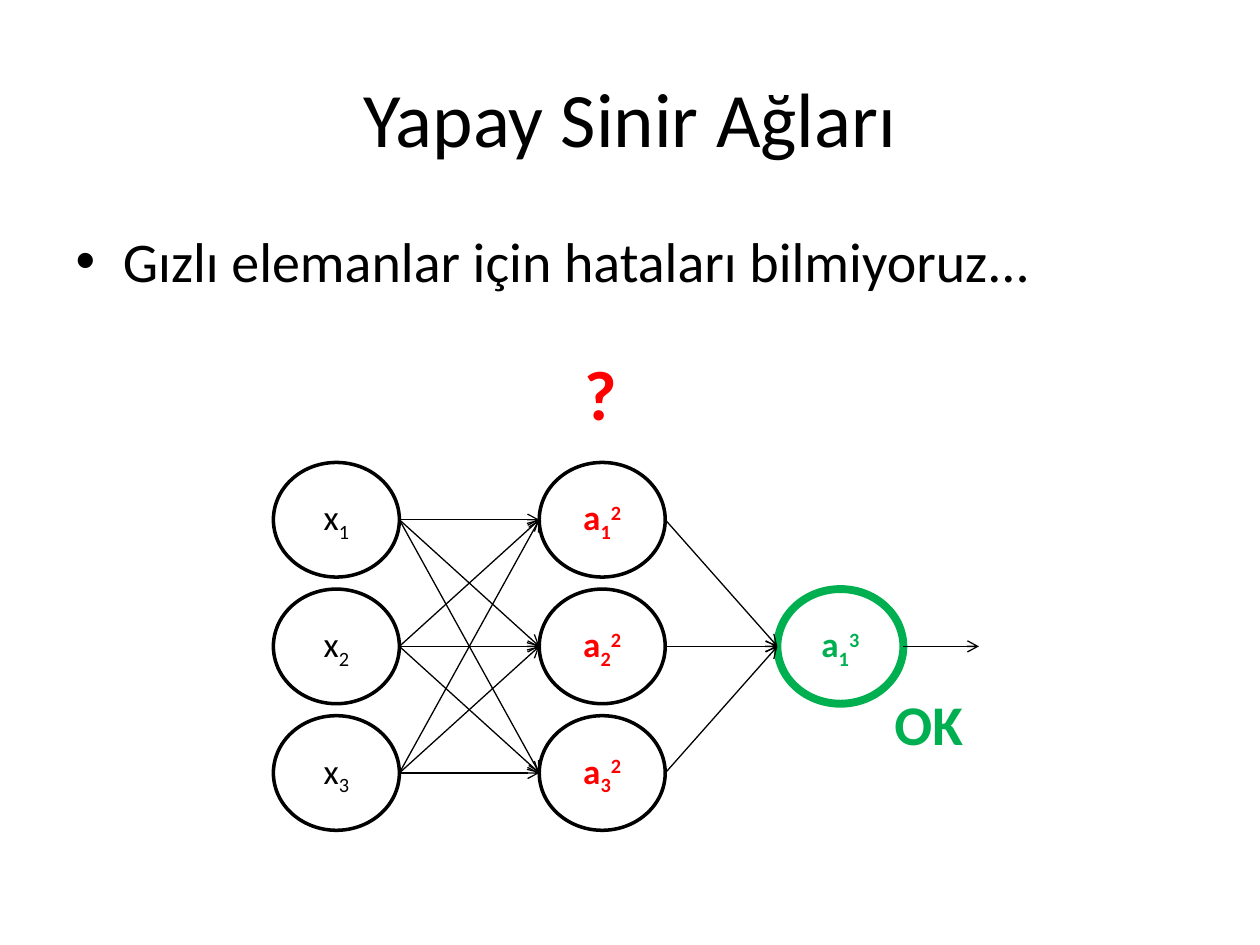
from dataclasses import dataclass
from itertools import product
from typing import Optional

from lxml.etree import SubElement
from pptx import Presentation
from pptx.dml.color import RGBColor
from pptx.enum.shapes import MSO_CONNECTOR, MSO_SHAPE
from pptx.enum.text import MSO_ANCHOR, MSO_AUTO_SIZE, PP_ALIGN
from pptx.oxml.ns import qn
from pptx.shapes.group import GroupShape
from pptx.slide import Slide
from pptx.text.text import _Paragraph as Paragraph
from pptx.util import Inches, Pt


@dataclass(frozen=True)
class Theme:
    font: str = "Calibri"
    black: str = "000000"
    white: str = "FFFFFF"
    red: str = "FF0000"
    green: str = "00B050"
    title: float = 44
    body: float = 32
    question: float = 40
    neuron: float = 20
    outline: float = 2
    bold_outline: float = 4.5
    arrow: float = 0.75


THEME = Theme()
WIDTH, HEIGHT = 1, 0.91
FIRST_TOP, LAST_TOP = 3.67, 5.68
PITCH = (LAST_TOP - FIRST_TOP) / 2
INPUT_LEFT, HIDDEN_LEFT, OUTPUT_LEFT = 2.17, 4.28, 6.17
OUTPUT_LENGTH = 0.6


@dataclass(frozen=True)
class Neuron:
    left: float
    row: int
    letter: str
    layer: str = ""
    color: str = THEME.black
    outline_color: str = THEME.black
    outline: float = THEME.outline

    @property
    def top(self) -> float:
        return FIRST_TOP + self.row * PITCH

    @property
    def entry(self) -> tuple[float, float]:
        return self.left, self.top + HEIGHT / 2

    @property
    def exit(self) -> tuple[float, float]:
        return self.left + WIDTH, self.top + HEIGHT / 2


@dataclass(frozen=True)
class Label:
    text: str
    left: float
    top: float
    width: float
    height: float
    size: float
    color: str


def add_text(para: Paragraph, text: str, *, size: float, color: str = THEME.black,
             bold: bool = False, baseline: Optional[int] = None) -> None:
    span = para.add_run()
    span.text = text
    span.font.name = THEME.font
    span.font.size = Pt(size)
    span.font.bold = bold
    span.font.color.rgb = RGBColor.from_string(color)
    if baseline is not None:
        span.font._element.set("baseline", str(baseline * 1000))


def draw_neuron(group: GroupShape, neuron: Neuron) -> None:
    circle = group.shapes.add_shape(
        MSO_SHAPE.OVAL, Inches(neuron.left), Inches(neuron.top), Inches(WIDTH), Inches(HEIGHT))
    circle.shadow.inherit = False
    circle.fill.solid()
    circle.fill.fore_color.rgb = RGBColor.from_string(THEME.white)
    circle.line.color.rgb = RGBColor.from_string(neuron.outline_color)
    circle.line.width = Pt(neuron.outline)
    circle.text_frame.vertical_anchor = MSO_ANCHOR.MIDDLE
    para = circle.text_frame.paragraphs[0]
    para.alignment = PP_ALIGN.CENTER
    parts = [(neuron.letter, None), (str(neuron.row + 1), -25), (neuron.layer, 30)]
    if neuron.left == OUTPUT_LEFT:
        parts[1] = ("1", -25)
    for text, baseline in parts:
        if text:
            add_text(para, text, size=THEME.neuron, color=neuron.color,
                     bold=bool(neuron.layer), baseline=baseline)


def draw_arrow(group: GroupShape, start: tuple[float, float], end: tuple[float, float]) -> None:
    arrow = group.shapes.add_connector(
        MSO_CONNECTOR.STRAIGHT, *(Inches(value) for value in start + end))
    arrow.line.color.rgb = RGBColor.from_string(THEME.black)
    arrow.line.width = Pt(THEME.arrow)
    SubElement(arrow.line._get_or_add_ln(), qn("a:tailEnd"), type="arrow")
    SubElement(arrow._element.spPr, qn("a:effectLst"))


def draw_label(slide: Slide, label: Label) -> None:
    box = slide.shapes.add_textbox(
        Inches(label.left), Inches(label.top), Inches(label.width), Inches(label.height))
    box.text_frame.word_wrap = False
    box.text_frame.auto_size = MSO_AUTO_SIZE.SHAPE_TO_FIT_TEXT
    add_text(box.text_frame.paragraphs[0], label.text,
             size=label.size, color=label.color, bold=True)


def fill_placeholder(slide: Slide, index: int, text: str, top: float,
                     height: float, size: float) -> None:
    box = slide.placeholders[index]
    box.left, box.top = Inches(0.5), Inches(top)
    box.width, box.height = Inches(9), Inches(height)
    para = box.text_frame.paragraphs[0]
    para.space_before = Pt(0)
    add_text(para, text, size=size)


def draw_network(slide: Slide) -> None:
    inputs = [Neuron(INPUT_LEFT, row, "x") for row in range(3)]
    hidden = [Neuron(HIDDEN_LEFT, row, "a", "2", THEME.red) for row in range(3)]
    output = Neuron(OUTPUT_LEFT, 1, "a", "3", THEME.green, THEME.green, THEME.bold_outline)
    group = slide.shapes.add_group_shape()
    for neuron in [*inputs, *hidden, output]:
        draw_neuron(group, neuron)
    for source, target in [*product(inputs, hidden), *product(hidden, [output])]:
        draw_arrow(group, source.exit, target.entry)
    left, middle = output.exit
    draw_arrow(group, output.exit, (left + OUTPUT_LENGTH, middle))


def main() -> None:
    deck = Presentation()
    deck.slide_width, deck.slide_height = Inches(10), Inches(7.5)
    slide = deck.slides.add_slide(deck.slide_layouts[1])
    fill_placeholder(slide, 0, "Yapay Sinir Ağları", 0.3, 1.25, THEME.title)
    fill_placeholder(slide, 1, "Gızlı elemanlar için hataları bilmiyoruz...",
                     1.75, 5.33, THEME.body)
    draw_network(slide)
    for label in (
        Label("?", 4.54, 2.73, 0.46, 0.77, THEME.question, THEME.red),
        Label("OK", 7, 5.42, 0.75, 0.64, THEME.body, THEME.green),
    ):
        draw_label(slide, label)
    deck.save("out.pptx")


if __name__ == "__main__":
    main()
